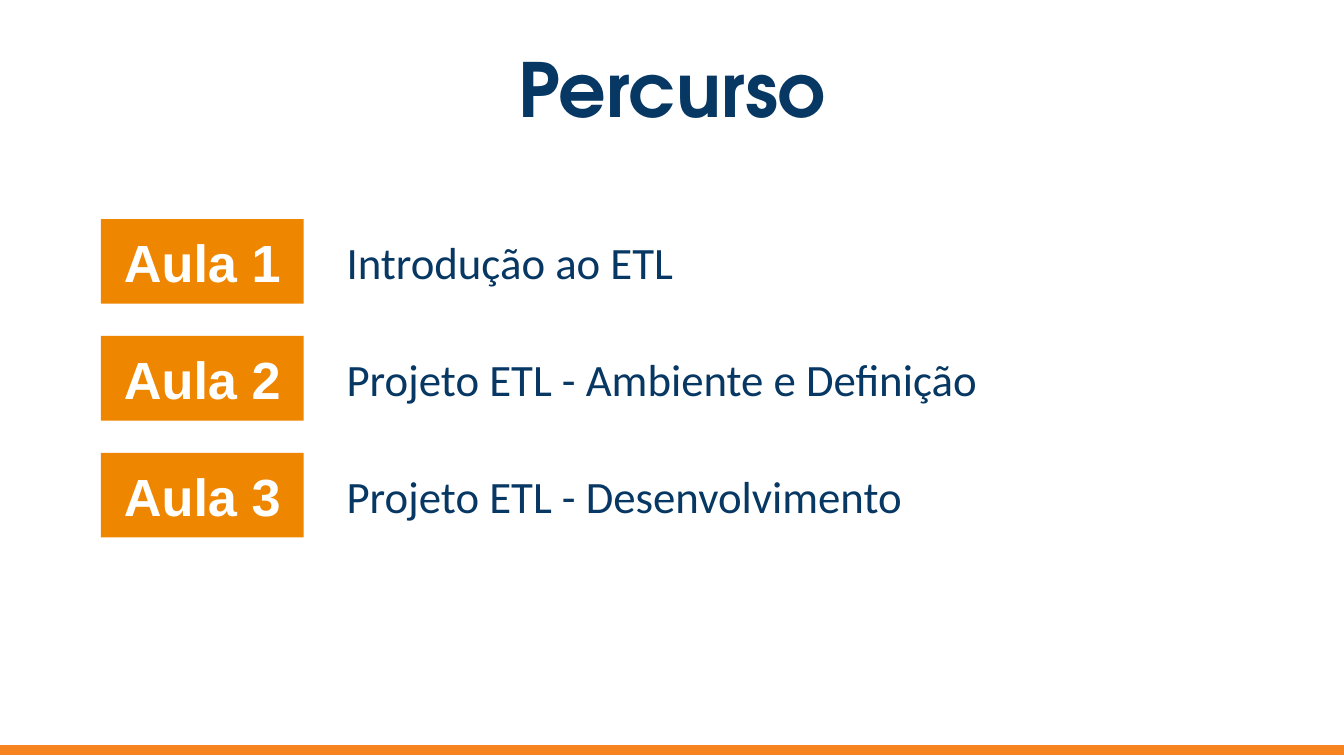
from pptx import Presentation
from pptx.dml.color import RGBColor
from pptx.enum.shapes import MSO_SHAPE
from pptx.enum.text import MSO_ANCHOR, PP_ALIGN
from pptx.util import Inches, Pt

RECTANGLE = MSO_SHAPE.RECTANGLE
MIDDLE = MSO_ANCHOR.MIDDLE
LEFT, CENTER = PP_ALIGN.LEFT, PP_ALIGN.CENTER

COLORS = {"navy": "073763", "orange": "EF8600", "footer": "F78321", "white": "FFFFFF"}
WIDTH = 10
HEIGHT = WIDTH * 9 / 16

# Lesson grid, in inches
LABEL_LEFT, LABEL_WIDTH, LABEL_HEIGHT = 0.75, 1.51, 0.63
TOPIC_LEFT, TOPIC_WIDTH, TOPIC_HEIGHT = 2.48, 7.31, 0.5
FIRST_ROW, ROW_STEP = 1.63, 0.87

TOPICS = [
    "Introdução ao ETL",
    "Projeto ETL - Ambiente e Definição",
    "Projeto ETL - Desenvolvimento",
]


def color(name):
    return RGBColor.from_string(COLORS[name])


def write(shape, text, font, size, ink, bold=False, align=CENTER, margin=0.1):
    frame = shape.text_frame
    frame.word_wrap = True
    frame.vertical_anchor = MIDDLE
    frame.margin_left = frame.margin_right = Inches(0.1)
    frame.margin_top = frame.margin_bottom = Inches(margin)
    frame.text = text
    para = frame.paragraphs[0]
    para.alignment = align
    span = para.runs[0]
    span.font.name = font
    span.font.size = Pt(size)
    span.font.bold = bold
    span.font.color.rgb = color(ink)


def add_title(slide, text):
    title = slide.shapes.title
    title.left, title.top = Inches(0.34), Inches(0.33)
    title.width, title.height = Inches(WIDTH - 2 * 0.34), Inches(0.65)
    write(title, text, "TeX Gyre Adventor", 40, "navy", bold=True)


def add_block(slide, left, top, width, height, fill):
    block = slide.shapes.add_shape(
        RECTANGLE, Inches(left), Inches(top), Inches(width), Inches(height))
    block.shadow.inherit = False
    block.fill.solid()
    block.fill.fore_color.rgb = color(fill)
    block.line.fill.background()
    return block


def add_lesson(slide, row, topic):
    top = FIRST_ROW + row * ROW_STEP
    label = add_block(slide, LABEL_LEFT, top, LABEL_WIDTH, LABEL_HEIGHT, "orange")
    write(label, f"Aula {row + 1}", "Arial", 28, "white", bold=True)

    # The topic is centred on its label
    topic_top = top + (LABEL_HEIGHT - TOPIC_HEIGHT) / 2
    box = slide.shapes.add_textbox(
        Inches(TOPIC_LEFT), Inches(topic_top), Inches(TOPIC_WIDTH), Inches(TOPIC_HEIGHT))
    write(box, topic, "Calibri", 24, "navy", align=LEFT, margin=0.05)


def add_footer(slide):
    bar = add_block(slide, 0, 5.55, WIDTH, 0.06, "footer")
    bar.line.color.rgb = color("footer")
    bar.line.width = Pt(0.75)


def main():
    deck = Presentation()
    deck.slide_width, deck.slide_height = Inches(WIDTH), Inches(HEIGHT)
    slide = deck.slides.add_slide(deck.slide_layouts[5])  # title only

    add_title(slide, "Percurso")
    add_footer(slide)
    for row, topic in enumerate(TOPICS):
        add_lesson(slide, row, topic)

    deck.save("out.pptx")


if __name__ == "__main__":
    main()
